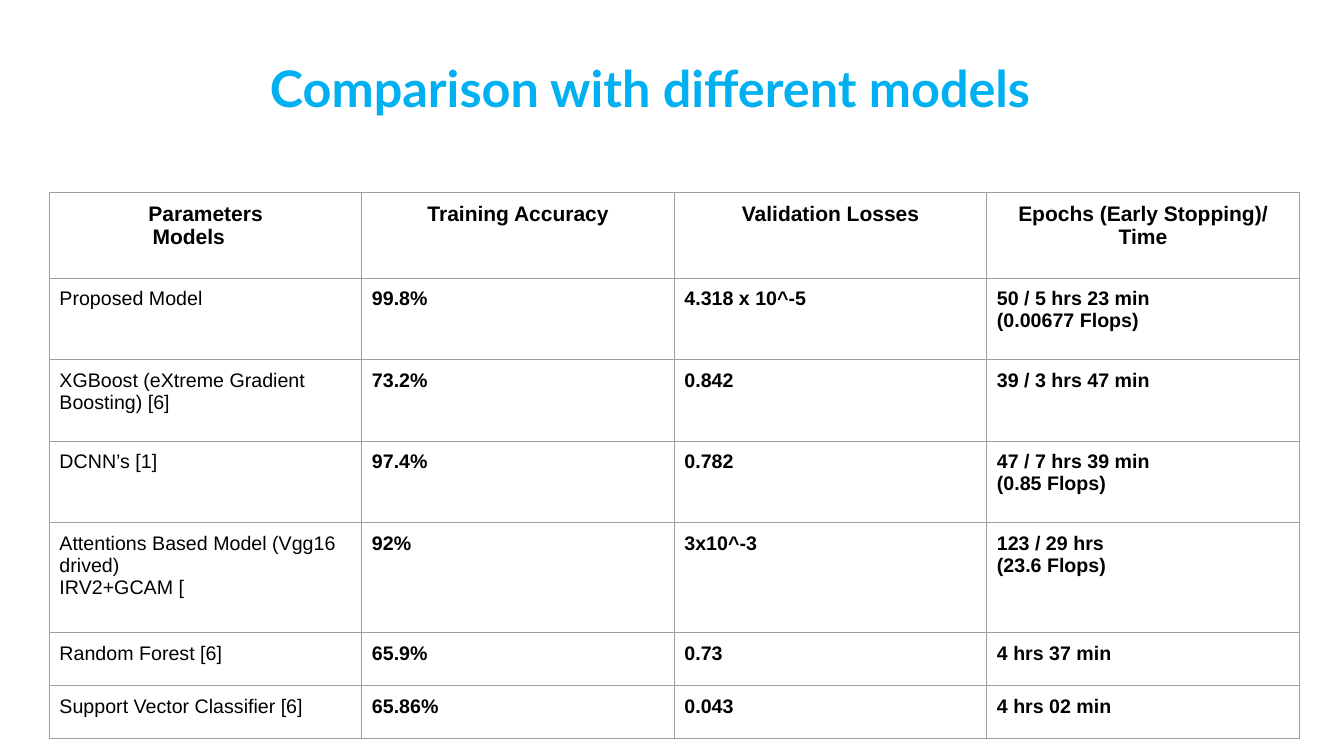
from dataclasses import dataclass

from lxml.etree import SubElement
from pptx import Presentation
from pptx.dml.color import RGBColor
from pptx.enum.text import MSO_ANCHOR, MSO_AUTO_SIZE, PP_ALIGN
from pptx.oxml.ns import qn
from pptx.slide import Slide
from pptx.table import _Cell
from pptx.text.text import TextFrame
from pptx.util import Pt


@dataclass(frozen=True)
class Theme:
    title_font: str = "Lato"
    table_font: str = "Arial"
    title_color: str = "00B0F0"
    text_color: str = "000000"
    border_color: str = "9E9E9E"
    title_size: float = 36
    header_size: float = 15
    body_size: float = 14
    border_width: float = 0.75
    inset: float = 7.2


@dataclass(frozen=True)
class Row:
    height: float
    cells: tuple[str, str, str, str]


THEME = Theme()
TITLE = "Comparison with different models"
COLUMN_WIDTH = 223.2
MODELS_INDENT = 66.5
ROWS = (
    Row(61.2, ("Parameters\nModels", "Training Accuracy", "Validation Losses",
               "Epochs (Early Stopping)/ Time")),
    Row(58.2, ("Proposed Model", "99.8%", "4.318 x 10^-5",
               "50 / 5 hrs 23 min\n(0.00677 Flops)")),
    Row(58.2, ("XGBoost (eXtreme Gradient Boosting) [6]", "73.2%", "0.842",
               "39 / 3 hrs 47 min")),
    Row(58.2, ("DCNN’s [1]", "97.4%", "0.782",
               "47 / 7 hrs 39 min\n(0.85 Flops)")),
    Row(78.6, ("Attentions Based Model (Vgg16 drived)\nIRV2+GCAM [", "92%",
               "3x10^-3", "123 / 29 hrs\n(23.6 Flops)")),
    Row(38, ("Random Forest [6]", "65.9%", "0.73", "4 hrs 37 min")),
    Row(38, ("Support Vector Classifier [6]", "65.86%", "0.043",
             "4 hrs 02 min")),
)


def write(tf: TextFrame, text: str, font: str, size: float, color: str,
          bold: bool, align: PP_ALIGN) -> None:
    tf.text = text
    tf.word_wrap = True
    for p in tf.paragraphs:
        p.alignment = align
        for r in p.runs:
            r.font.name = font
            r.font.size = Pt(size)
            r.font.bold = bold
            r.font.color.rgb = RGBColor.from_string(color)


def add_borders(cell: _Cell) -> None:
    tc_pr = cell._tc.get_or_add_tcPr()
    for side in ("a:lnL", "a:lnR", "a:lnT", "a:lnB"):
        ln = SubElement(tc_pr, qn(side), w=str(Pt(THEME.border_width)))
        fill = SubElement(ln, qn("a:solidFill"))
        SubElement(fill, qn("a:srgbClr"), val=THEME.border_color)


def style_cell(cell: _Cell, text: str, header: bool, bold: bool) -> None:
    add_borders(cell)
    cell.fill.background()
    cell.vertical_anchor = MSO_ANCHOR.TOP
    cell.margin_left = cell.margin_right = Pt(THEME.inset)
    cell.margin_top = cell.margin_bottom = Pt(THEME.inset)
    write(cell.text_frame, text, THEME.table_font,
          THEME.header_size if header else THEME.body_size,
          THEME.text_color, bold, PP_ALIGN.CENTER if header else PP_ALIGN.LEFT)


def add_title(s: Slide) -> None:
    sp = s.shapes.add_textbox(Pt(121), Pt(33.8), Pt(686.9), Pt(58.3))
    tf = sp.text_frame
    tf.margin_left = tf.margin_right = Pt(THEME.inset)
    tf.margin_top = tf.margin_bottom = Pt(THEME.inset)
    write(tf, TITLE, THEME.title_font, THEME.title_size, THEME.title_color,
          True, PP_ALIGN.CENTER)
    tf.auto_size = MSO_AUTO_SIZE.SHAPE_TO_FIT_TEXT


def add_comparison(s: Slide) -> None:
    columns = len(ROWS[0].cells)
    frame = s.shapes.add_table(len(ROWS), columns, Pt(35.3), Pt(137.4),
                               Pt(COLUMN_WIDTH * columns),
                               Pt(sum(row.height for row in ROWS)))
    table = frame.table
    table.horz_banding = False
    for column in table.columns:
        column.width = Pt(COLUMN_WIDTH)
    for i, row in enumerate(ROWS):
        table.rows[i].height = Pt(row.height)
        for j, text in enumerate(row.cells):
            style_cell(table.cell(i, j), text, i == 0, i == 0 or j > 0)
    p = table.cell(0, 0).text_frame.paragraphs[1]
    p.alignment = PP_ALIGN.LEFT
    p._p.get_or_add_pPr().set("marL", str(Pt(MODELS_INDENT)))


def main() -> None:
    prs = Presentation()
    prs.slide_width, prs.slide_height = Pt(960), Pt(540)
    s = prs.slides.add_slide(prs.slide_layouts[6])
    add_comparison(s)
    add_title(s)
    prs.save("out.pptx")


if __name__ == "__main__":
    main()
